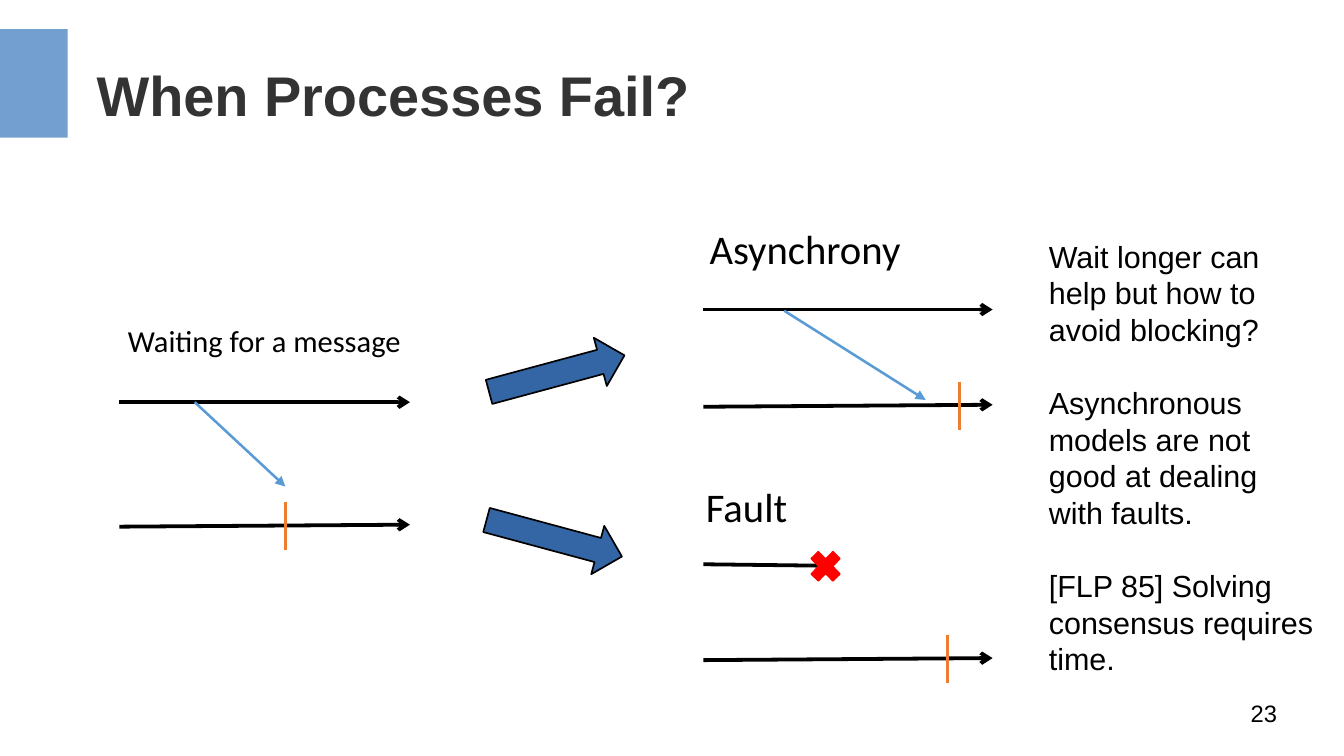
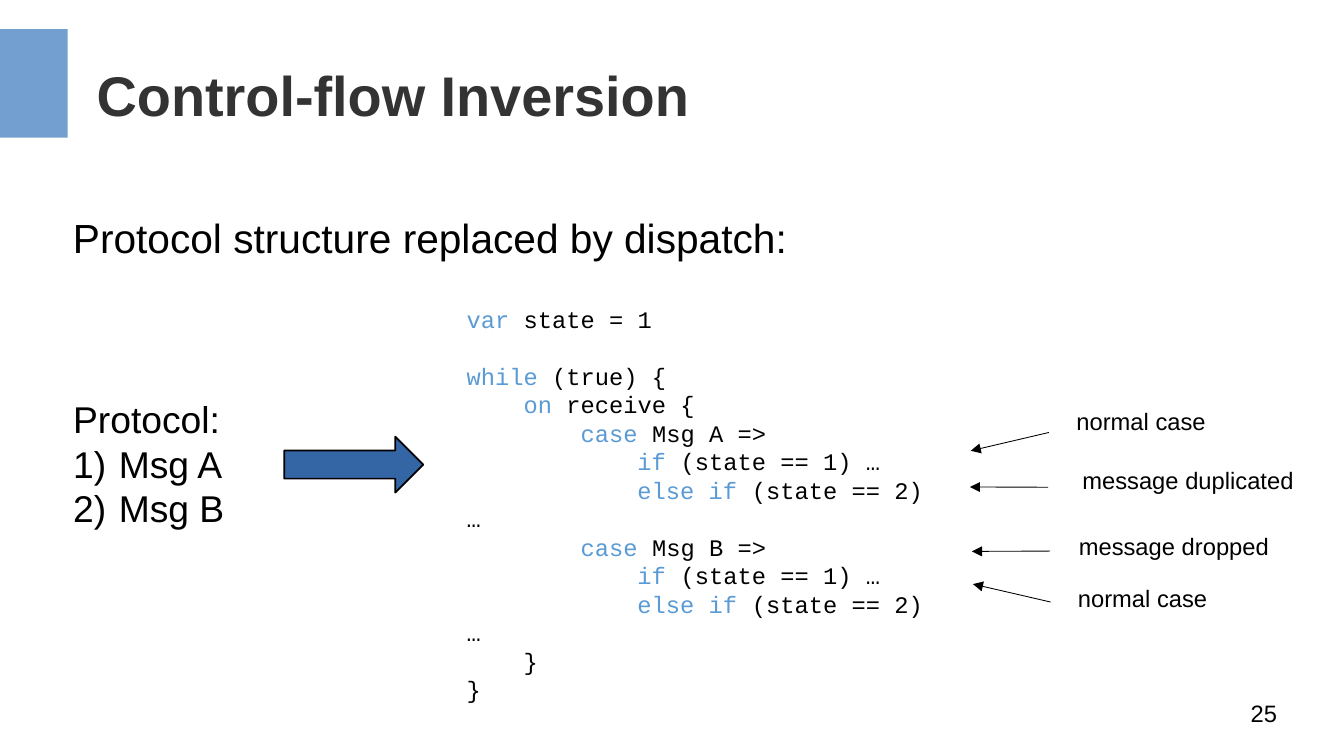
from lxml import etree
from pptx import Presentation
from pptx.dml.color import RGBColor
from pptx.enum.shapes import MSO_CONNECTOR, MSO_SHAPE
from pptx.enum.text import MSO_ANCHOR, MSO_AUTO_SIZE, PP_ALIGN
from pptx.oxml.ns import qn
from pptx.util import Pt

# Colours
BLACK = RGBColor(0x00, 0x00, 0x00)
TITLE_GREY = RGBColor(0x33, 0x33, 0x33)
BAND_BLUE = RGBColor(0x72, 0x9F, 0xCF)
ARROW_BLUE = RGBColor(0x34, 0x65, 0xA4)
LIGHT_BLUE = RGBColor(0x5B, 0x9B, 0xD5)
ORANGE = RGBColor(0xED, 0x7D, 0x31)
RED = RGBColor(0xFF, 0x00, 0x00)

# Enum members
STRAIGHT = MSO_CONNECTOR.STRAIGHT
RECTANGLE = MSO_SHAPE.RECTANGLE
RIGHT_ARROW = MSO_SHAPE.RIGHT_ARROW
CROSS = MSO_SHAPE.MATH_MULTIPLY
TOP, MIDDLE = MSO_ANCHOR.TOP, MSO_ANCHOR.MIDDLE
LEFT, RIGHT = PP_ALIGN.LEFT, PP_ALIGN.RIGHT
NO_AUTOFIT = MSO_AUTO_SIZE.NONE

# Shared measures, in points
PAGE_SIZE = (793.44, 446.4)
TITLE_BOX = (57, 18, 697, 75)
BAND_BOX = (0, 17.3, 39.9, 64)
NUMBER_BOX = (569, 412.5, 185, 31)
LINE_HEIGHT = 1.2
NUMBER_INDENT = 27
INSETS = (7.2, 3.6)
TIMEOUT_REACH = 14.2


def place(shape, box):
    shape.left, shape.top, shape.width, shape.height = map(Pt, box)


def set_bullet(para, numbered):
    """Number a paragraph, or clear the bullet it inherits."""
    properties = para._p.get_or_add_pPr()
    indent = Pt(NUMBER_INDENT) if numbered else 0
    properties.set("marL", str(indent))
    properties.set("indent", str(-indent))
    if numbered:
        etree.SubElement(properties, qn("a:buFont"), typeface="+mj-lt")
        etree.SubElement(properties, qn("a:buAutoNum"), type="arabicParenR")
    else:
        etree.SubElement(properties, qn("a:buNone"))


def write(shape, lines, *, size, font="Arial", colour=BLACK, bold=False,
          align=LEFT, anchor=TOP, insets=INSETS, gap=0, numbered_from=None):
    """Fill a shape; a line is a string or a list of (text, colour) spans."""
    frame = shape.text_frame
    frame.word_wrap = True
    frame.auto_size = NO_AUTOFIT
    frame.vertical_anchor = anchor
    frame.margin_left = frame.margin_right = Pt(insets[0])
    frame.margin_top = frame.margin_bottom = Pt(insets[1])
    for index, line in enumerate(lines):
        para = frame.add_paragraph() if index else frame.paragraphs[0]
        set_bullet(para, numbered_from is not None and index >= numbered_from)
        para.alignment = align
        para.line_spacing = Pt(size * LINE_HEIGHT)
        para.space_before = Pt(gap if index else 0)
        para.space_after = Pt(0)
        spans = [(line, colour)] if isinstance(line, str) else line
        for text, span_colour in spans:
            span = para.add_run()
            span.text = text
            span.font.name = font
            span.font.size = Pt(size)
            span.font.bold = bold
            span.font.color.rgb = span_colour
    return frame.paragraphs


def add_text(page, box, lines, **text_format):
    return write(page.shapes.add_textbox(*map(Pt, box)), lines, **text_format)


def add_figure(page, kind, box, fill, outline=None, rotation=0):
    shape = page.shapes.add_shape(kind, *map(Pt, box))
    shape.shadow.inherit = False
    shape.rotation = rotation
    shape.fill.solid()
    shape.fill.fore_color.rgb = fill
    if outline is None:
        shape.line.fill.background()
    else:
        shape.line.color.rgb = outline
        shape.line.width = Pt(1)
    return shape


def add_line(page, start, end, colour, width, head=None):
    line = page.shapes.add_connector(STRAIGHT, *map(Pt, start + end))
    line.line.color.rgb = colour
    line.line.width = Pt(width)
    if head:
        etree.SubElement(line.line._get_or_add_ln(), qn("a:tailEnd"), type=head)
    etree.SubElement(line.element.spPr, qn("a:effectLst"))


def add_process(page, start, end, head="arrow"):
    add_line(page, start, end, BLACK, 2.25, head)


def add_message(page, start, end):
    add_line(page, start, end, LIGHT_BLUE, 1.5, "triangle")


def add_receiver(page, left, right, y, timeout):
    """Draw a slightly rising process line, crossed by its timeout mark."""
    add_process(page, (left, y + 0.6), (right, y - 0.6))
    add_line(page, (timeout, y - TIMEOUT_REACH), (timeout, y + TIMEOUT_REACH),
             ORANGE, 1.5)


def code_line(depth, keyword, rest):
    return [("    " * depth + keyword, LIGHT_BLUE), (rest, BLACK)]


def style_layout(deck, layout):
    """Put the title place and the blue band on the shared layout."""
    deck.slide_width, deck.slide_height = map(Pt, PAGE_SIZE)
    place(layout.placeholders[0], TITLE_BOX)


def add_page(deck, layout, title, number, body_box):
    page = deck.slides.add_slide(layout)
    place(page.shapes.title, TITLE_BOX)
    write(page.shapes.title, [title], size=33, colour=TITLE_GREY, bold=True,
          anchor=MIDDLE, insets=(0, 0))
    add_figure(page, RECTANGLE, BAND_BOX, BAND_BLUE)
    add_text(page, NUMBER_BOX, [number], size=14, align=RIGHT, insets=(0, 0))
    body = page.placeholders[1]
    place(body, body_box)
    return page, body


def build_failure_page(deck, layout):
    page, body = add_page(deck, layout, "When Processes Fail?", "23",
                          (612, 136.8, 173, 269))
    write(body, [
        "Wait longer can help but how to avoid blocking?",
        "Asynchronous models are not good at dealing with faults.",
        "[FLP 85] Solving consensus requires time.",
    ], size=18, gap=18 * LINE_HEIGHT)

    # Headings of the three diagrams
    for left, top, width, heading, size in (
            (68.4, 186.5, 190, "Waiting for a message", 18),
            (411.8, 128.9, 140, "Asynchrony", 24),
            (409.7, 280.8, 80, "Fault", 24)):
        add_text(page, (left, top, width, size * LINE_HEIGHT + 7.2), [heading],
                 size=size, font="Calibri")

    # Waiting
    add_process(page, (70.5, 237.5), (242, 237.5))
    add_message(page, (115, 237.5), (168.5, 287.3))
    add_receiver(page, 70.5, 242, 310.4, timeout=168.5)

    # Asynchrony
    add_process(page, (415.2, 182.8), (586, 182.8))
    add_message(page, (463, 183.5), (546.5, 236.2))
    add_receiver(page, 415.2, 586, 239.6, timeout=566.6)

    # Fault
    add_process(page, (415.2, 333.2), (491, 334.1), head=None)
    add_figure(page, CROSS, (475.2, 321.8, 24.5, 25.2), RED, RED)
    add_receiver(page, 415.2, 586, 389.2, timeout=559.4)

    # Block arrows to the two explanations
    for left, top, rotation in ((287.3, 205.9, -15.1), (285.8, 303.1, 15.1)):
        add_figure(page, RIGHT_ARROW, (left, top, 82.8, 29.5), ARROW_BLUE,
                   BLACK, rotation)


def build_dispatch_page(deck, layout):
    page, body = add_page(deck, layout, "Control-flow Inversion", "25",
                          (36, 230.4, 120, 87))
    write(body, ["Protocol:", "Msg A", "Msg B"], size=22, numbered_from=1)
    add_text(page, (36, 122.4, 452, 36),
             ["Protocol structure replaced by dispatch:"], size=24)
    add_figure(page, RIGHT_ARROW, (167.8, 257.8, 82.1, 33.1), ARROW_BLUE, BLACK)

    # Code
    branches = [
        code_line(3, "if", " (state == 1) …"),
        code_line(3, "else if", " (state == 2) …"),
    ]
    code = add_text(page, (268.4, 176.4, 296, 240), [
        code_line(0, "var", " state = 1"),
        code_line(0, "while", " (true) {"),
        code_line(1, "on", " receive {"),
        code_line(2, "case", " Msg A =>"),
        *branches,
        code_line(2, "case", " Msg B =>"),
        *branches,
        "    }",
        "}",
    ], size=14, font="Courier New")
    code[1].space_before = Pt(14 * LINE_HEIGHT)

    # Remarks, each with an arrow to its branch
    for label, left, top, start, end in (
            ("normal case", 628.4, 236.9, (619.2, 255.4), (573.1, 266.2)),
            ("message duplicated", 631.9, 271.4, (618.8, 287.7), (572.6, 287.6)),
            ("message dropped", 629.8, 310.5, (619.9, 325.4), (573.8, 325.6)),
            ("normal case", 629.3, 341.3, (620.3, 355.5), (574.4, 344.9))):
        add_text(page, (left, top, 150, 24), [label], size=14)
        add_line(page, start, end, BLACK, 0.5, "triangle")


def main():
    deck = Presentation()
    layout = deck.slide_layouts.get_by_name("Title and Content")
    style_layout(deck, layout)
    build_failure_page(deck, layout)
    build_dispatch_page(deck, layout)
    deck.save("out.pptx")


if __name__ == "__main__":
    main()
